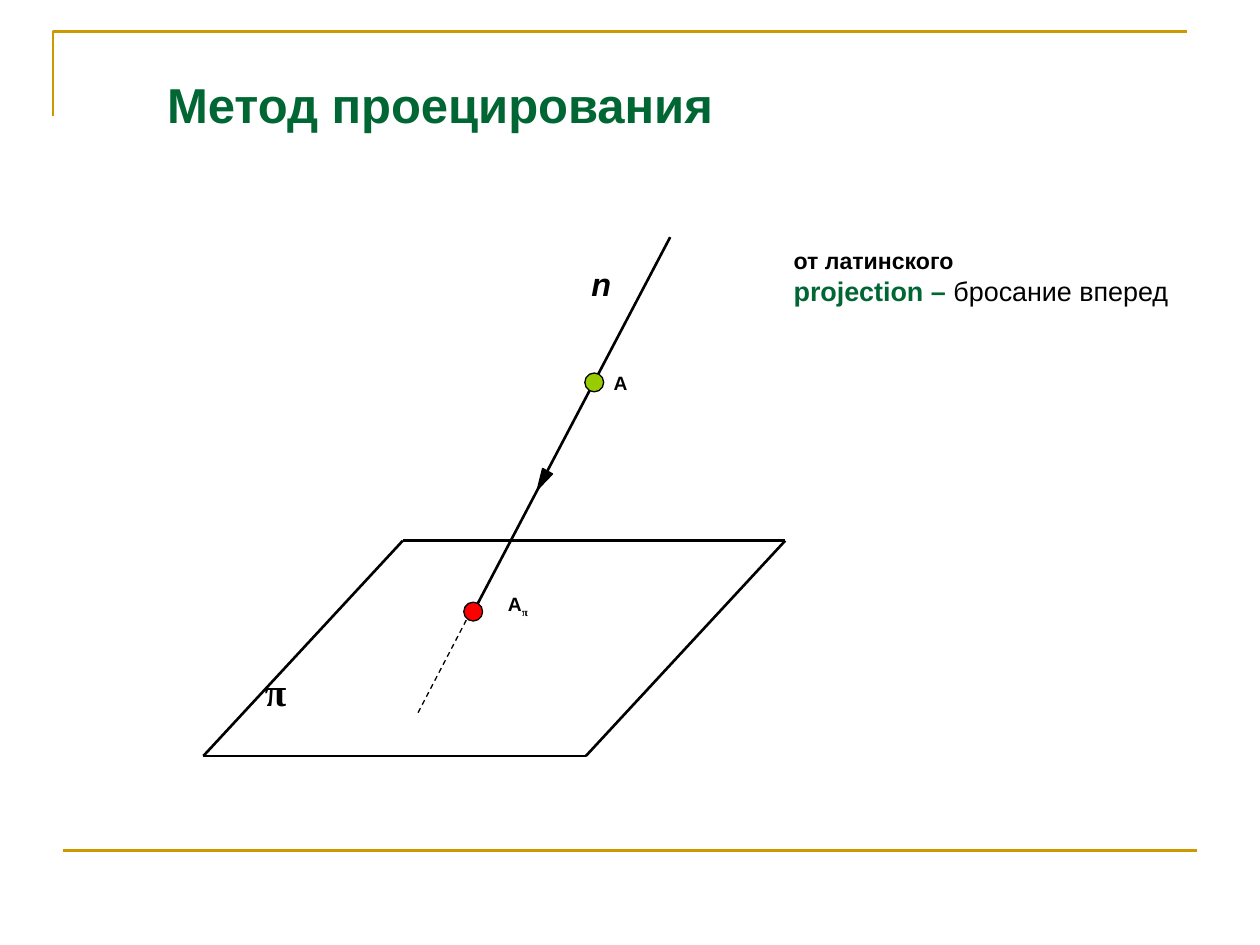
from lxml import etree
from pptx import Presentation
from pptx.dml.color import RGBColor
from pptx.enum import dml, shapes, text
from pptx.oxml.ns import qn
from pptx.util import Cm, Pt

BLACK = RGBColor(0x00, 0x00, 0x00)
GOLD = RGBColor(0xCC, 0x99, 0x00)
GREEN = RGBColor(0x00, 0x66, 0x33)
LIME = RGBColor(0x99, 0xCC, 0x00)
RED = RGBColor(0xFF, 0x00, 0x00)

# All lengths are in centimetres
CORNER = [(1.07, 2.34), (1.07, 0.64), (23.93, 0.64)]
FOOTER = (1.27, 17.15), (24.13, 17.15)

PLANE_WIDTH = 7.71
BACK_LEFT, FRONT_LEFT = (8.12, 10.9), (4.1, 15.24)
RAY = (13.51, 4.78), (9.55, 12.32)
RAY_BELOW = (9.4, 12.5), (8.41, 14.4)
POINT_SIZE = 0.38
POINTS = [((11.98, 7.71), LIME), ((9.54, 12.33), RED)]
ARROW = (10.82, 9.47, 0.23, 0.43)
ARROW_TURN = 208.8

LABEL_INSETS, TEXT_INSETS = (0.13, 0.05), (0.25, 0.13)

# box, insets, paragraphs; a paragraph is a list of (text, size, colour, style)
# where style holds b = bold, i = italic, t = Times New Roman, s = subscript
TEXTS = [
    ((12.24, 7.44, 0.91, 0.97), LABEL_INSETS, [[("А", 11, BLACK, "b")]]),
    ((10.11, 11.89, 2.13, 1.88), LABEL_INSETS,
     [[("А", 11, BLACK, "b"), ("π", 11, BLACK, "bts")]]),
    ((5.21, 13.59, 1.17, 1.09), LABEL_INSETS, [[("π", 22.4, BLACK, "bt")]]),
    ((11.79, 5.28, 0.91, 0.97), LABEL_INSETS, [[("n", 18.5, BLACK, "bi")]]),
    ((3.12, 1.37, 11.56, 1.45), TEXT_INSETS,
     [[("Метод проецирования", 28, GREEN, "b")]]),
    ((15.75, 4.78, 9.96, 1.55), TEXT_INSETS,
     [[("от латинского", 13.2, BLACK, "b")],
      [("projection – ", 15.4, GREEN, "b"),
       ("бросание вперед", 15.4, BLACK, "")]]),
]
PLANE_LABEL, NOTE = 2, 5


def add_line(slide, ends, color=BLACK, width=1.5, dashed=False):
    (x1, y1), (x2, y2) = ends
    line = slide.shapes.add_connector(
        shapes.MSO_CONNECTOR.STRAIGHT, Cm(x1), Cm(y1), Cm(x2), Cm(y2))
    line.line.color.rgb = color
    line.line.width = Pt(width)
    if dashed:
        line.line.dash_style = dml.MSO_LINE.DASH
    etree.SubElement(line._element.spPr, qn("a:effectLst"))


def add_mark(slide, kind, place, color):
    mark = slide.shapes.add_shape(kind, *map(Cm, place))
    mark.shadow.inherit = False
    mark.fill.solid()
    mark.fill.fore_color.rgb = color
    mark.line.color.rgb = BLACK
    mark.line.width = Pt(0.75)
    return mark


def add_corner(slide):
    """Draw the open angle at the top left of the slide."""
    start, *rest = [(Cm(x), Cm(y)) for x, y in CORNER]
    builder = slide.shapes.build_freeform(*start)
    builder.add_line_segments(rest, close=False)
    corner = builder.convert_to_shape()
    corner.shadow.inherit = False
    corner.fill.background()
    corner.line.color.rgb = GOLD
    corner.line.width = Pt(1.5)


def style_font(font, size, color, style):
    font.name = "Times New Roman" if "t" in style else "Arial"
    font.size = Pt(size)
    font.color.rgb = color
    font.bold = "b" in style
    font.italic = "i" in style


def add_text(slide, place, insets, paragraphs):
    frame = slide.shapes.add_textbox(*map(Cm, place)).text_frame
    frame.word_wrap = True
    frame.vertical_anchor = text.MSO_ANCHOR.TOP
    frame.margin_left = frame.margin_right = Cm(insets[0])
    frame.margin_top = frame.margin_bottom = Cm(insets[1])
    for index, spans in enumerate(paragraphs):
        para = frame.add_paragraph() if index else frame.paragraphs[0]
        for words, *look in spans:
            span = para.add_run()
            span.text = words
            style_font(para.font if len(spans) == 1 else span.font, *look)
            if "s" in look[-1]:
                span.font._element.set("baseline", "-25000")
    return frame


def main():
    deck = Presentation()
    deck.slide_width, deck.slide_height = Cm(25.4), Cm(19.05)
    slide = deck.slides.add_slide(deck.slide_layouts[6])

    add_corner(slide)
    add_line(slide, FOOTER, GOLD)

    back_right, front_right = [
        (x + PLANE_WIDTH, y) for x, y in (BACK_LEFT, FRONT_LEFT)]
    for ends in [(BACK_LEFT, FRONT_LEFT), (BACK_LEFT, back_right),
                 (FRONT_LEFT, front_right), (back_right, front_right)]:
        add_line(slide, ends)

    add_line(slide, RAY)
    add_line(slide, RAY_BELOW, width=0.75, dashed=True)
    for (x, y), color in POINTS:
        half = POINT_SIZE / 2
        add_mark(slide, shapes.MSO_SHAPE.OVAL,
                 (x - half, y - half, POINT_SIZE, POINT_SIZE), color)
    arrow = add_mark(slide, shapes.MSO_SHAPE.ISOSCELES_TRIANGLE, ARROW, BLACK)
    arrow.rotation = ARROW_TURN

    frames = [add_text(slide, *entry) for entry in TEXTS]
    frames[PLANE_LABEL].paragraphs[0].line_spacing = 0.8
    frames[NOTE].paragraphs[0].line_spacing = Pt(17.7)

    deck.save("out.pptx")


if __name__ == "__main__":
    main()
